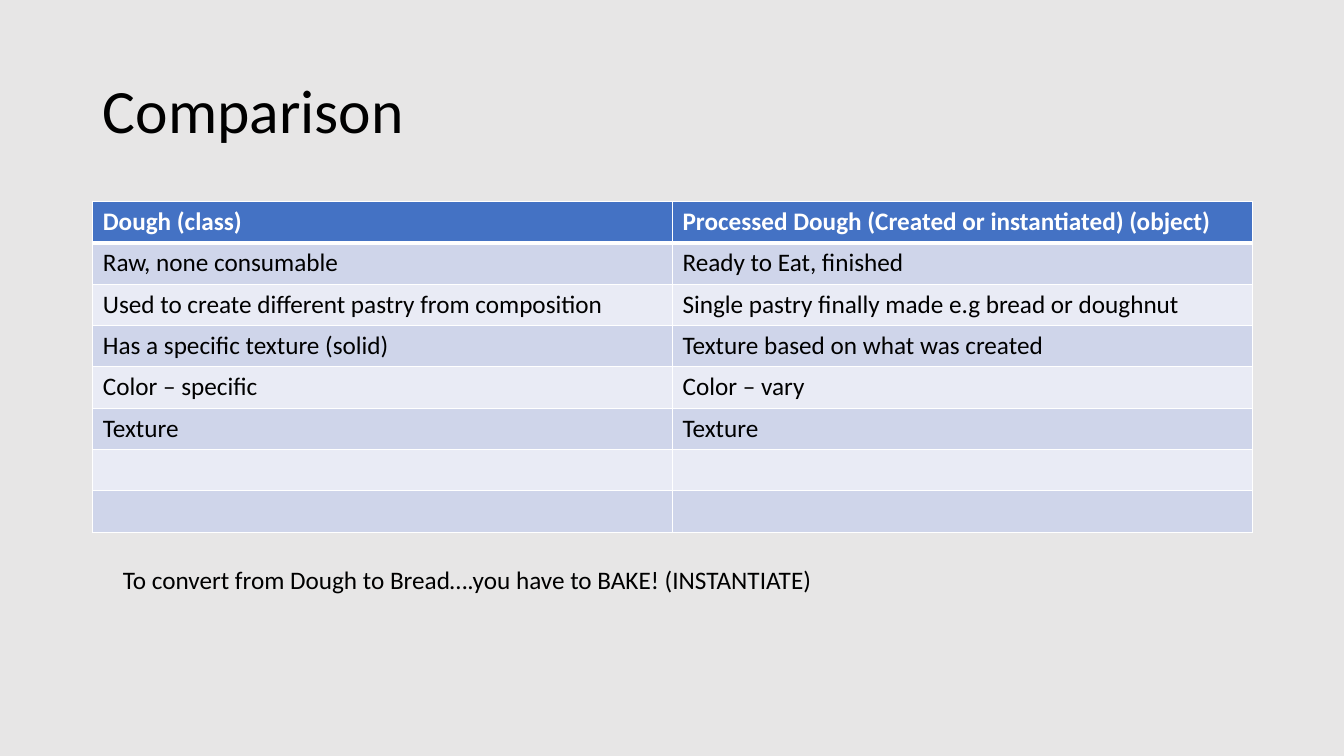
from lxml import etree
from pptx import Presentation
from pptx.dml.color import RGBColor
from pptx.enum.text import MSO_ANCHOR, MSO_AUTO_SIZE, PP_ALIGN
from pptx.oxml.ns import qn
from pptx.util import Inches, Pt

LEFT = PP_ALIGN.LEFT
TOP = MSO_ANCHOR.TOP
MIDDLE = MSO_ANCHOR.MIDDLE
NO_AUTOFIT = MSO_AUTO_SIZE.NONE
GROW = MSO_AUTO_SIZE.SHAPE_TO_FIT_TEXT

WIDTH, HEIGHT = 13.33, 7.5
MARGIN = 0.92
CONTENT_WIDTH = 11.5
ROW_HEIGHT = 0.41
FONT = "Calibri"
BACKGROUND, BLACK, WHITE = "E7E6E6", "000000", "FFFFFF"
HEADER, BANDS = "4472C4", ("E9EBF5", "CFD5EA")
THIN, THICK = 1, 3

COMPARISON = [
    ("Dough (class)", "Processed Dough (Created or instantiated) (object)"),
    ("Raw, none consumable", "Ready to Eat, finished"),
    ("Used to create different pastry from composition",
     "Single pastry finally made e.g bread or doughnut"),
    ("Has a specific texture (solid)", "Texture based on what was created"),
    ("Color – specific", "Color – vary"),
    ("Texture", "Texture"),
    ("", ""),
    ("", ""),
]


def paint(fill, color):
    fill.solid()
    fill.fore_color.rgb = RGBColor.from_string(color)


def write_text(text_frame, text, size=18, color=BLACK, bold=False, spacing=1.0):
    paragraph = text_frame.paragraphs[0]
    paragraph.alignment = LEFT
    paragraph.line_spacing = spacing
    paragraph.font.size = Pt(size)
    if text:
        run = paragraph.add_run()
        run.text = text
        run.font.name = FONT
        run.font.size = Pt(size)
        run.font.bold = bold
        paint(run.font.fill, color)


def add_border(cell, side, points):
    properties = cell._tc.get_or_add_tcPr()
    line = etree.SubElement(properties, qn(f"a:ln{side}"), w=str(Pt(points)))
    fill = etree.SubElement(line, qn("a:solidFill"))
    etree.SubElement(fill, qn("a:srgbClr"), val=WHITE)


def add_title(slide, text):
    title = slide.shapes.title
    title.left, title.top = Inches(MARGIN), Inches(0.4)
    title.width, title.height = Inches(CONTENT_WIDTH), Inches(1.45)
    title.text_frame.word_wrap = True
    title.text_frame.auto_size = NO_AUTOFIT
    title.text_frame.vertical_anchor = MIDDLE
    write_text(title.text_frame, text, size=44, spacing=0.9)


def format_cell(cell, text, row):
    is_header = row == 0
    borders = {
        "L": THIN,
        "R": THIN,
        "T": THICK if row == 1 else THIN,
        "B": THICK if is_header else THIN,
    }
    for side, points in borders.items():
        add_border(cell, side, points)
    paint(cell.fill, HEADER if is_header else BANDS[row % 2])
    cell.vertical_anchor = TOP
    write_text(cell.text_frame, text, color=WHITE if is_header else BLACK, bold=is_header)


def add_comparison_table(slide, rows):
    table = slide.shapes.add_table(
        len(rows), len(rows[0]), Inches(MARGIN), Inches(2),
        Inches(CONTENT_WIDTH), Inches(ROW_HEIGHT * len(rows))).table
    for row, texts in enumerate(rows):
        table.rows[row].height = Inches(ROW_HEIGHT)
        for column, text in enumerate(texts):
            format_cell(table.cell(row, column), text, row)


def add_note(slide, text):
    note = slide.shapes.add_textbox(
        Inches(MARGIN + 0.2), Inches(5.55), Inches(11.18), Inches(0.4))
    note.text_frame.word_wrap = True
    note.text_frame.auto_size = GROW
    write_text(note.text_frame, text)


def main():
    presentation = Presentation()
    presentation.slide_width = Inches(WIDTH)
    presentation.slide_height = Inches(HEIGHT)
    title_only = presentation.slide_layouts.get_by_name("Title Only")
    slide = presentation.slides.add_slide(title_only)
    paint(slide.background.fill, BACKGROUND)
    add_title(slide, "Comparison")
    add_comparison_table(slide, COMPARISON)
    add_note(slide, "To convert from Dough to Bread….you have to BAKE! (INSTANTIATE)")
    presentation.save("out.pptx")


if __name__ == "__main__":
    main()
